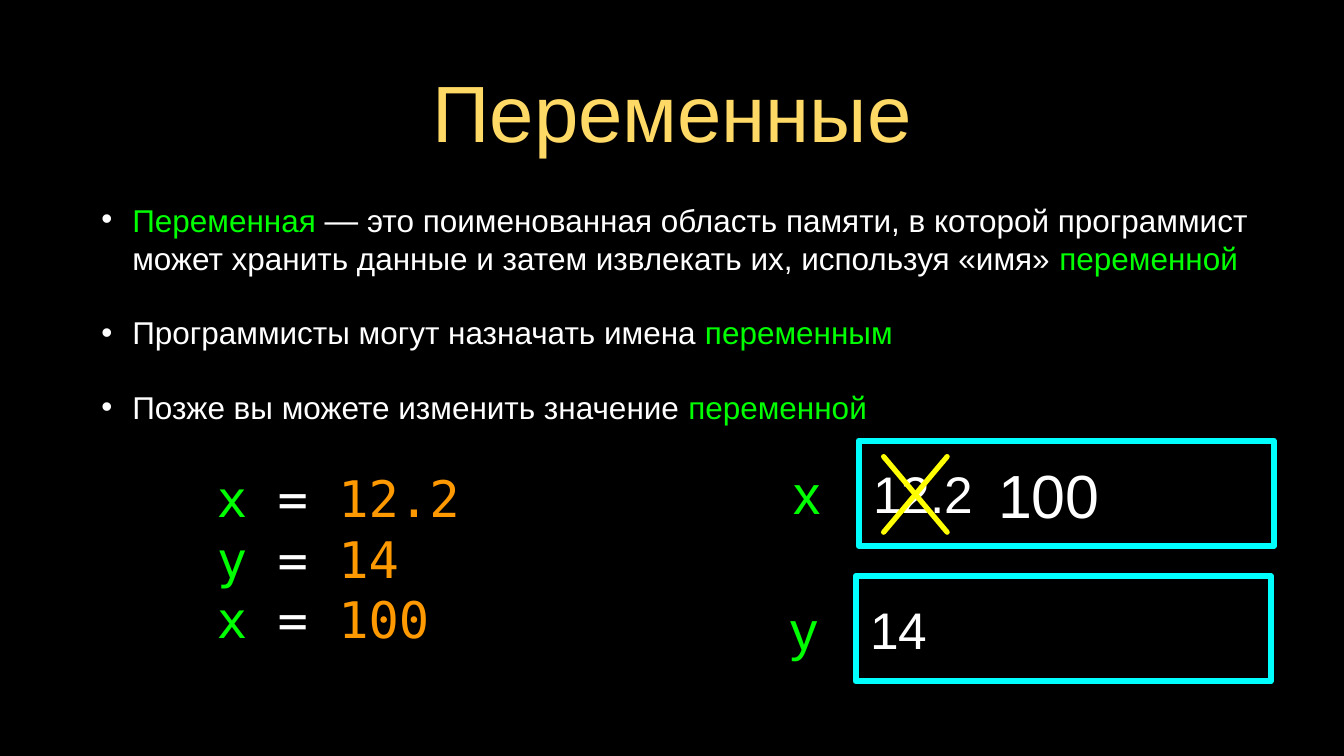
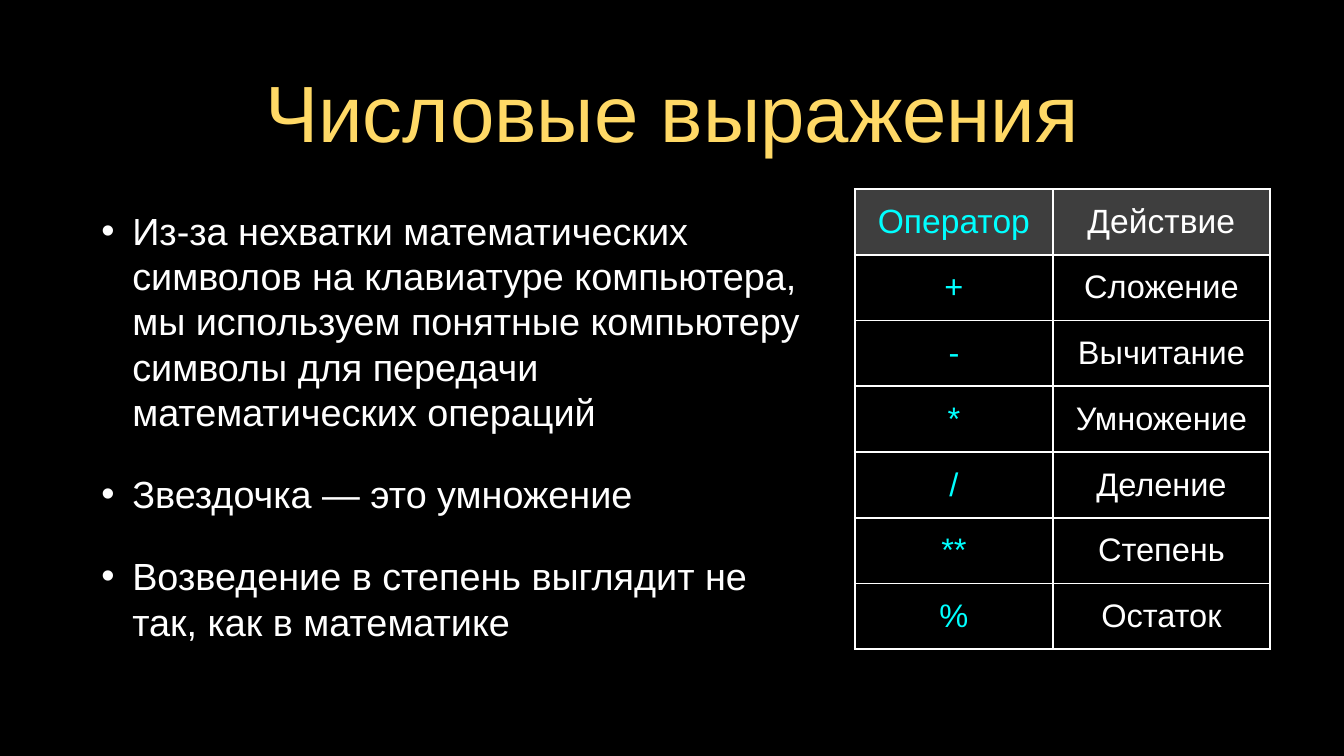
from pptx import Presentation
from pptx.dml.color import RGBColor
from pptx.enum.shapes import MSO_CONNECTOR as Line, MSO_SHAPE as Shape
from pptx.enum.text import MSO_ANCHOR as Anchor, MSO_AUTO_SIZE as Fit, PP_ALIGN as Align
from pptx.oxml.ns import qn
from pptx.util import Inches, Pt
from lxml.etree import SubElement

HEX = {
    "black": "000000", "white": "FFFFFF", "gold": "FFD966", "green": "00FF00",
    "cyan": "00FFFF", "yellow": "FFFF00", "orange": "FF9900", "gray": "7F7F7F",
}
SANS, MONO = "Arial", "DejaVu Sans Mono"
PAD = 0.04


def rgb(name):
    return RGBColor.from_string(HEX[name])


def style(font, size, color, face=SANS):
    font.size, font.name = Pt(size), face
    font.color.rgb = rgb(color)


def write(para, parts, size, face=SANS):
    """Fill a paragraph with (text, colour[, size]) parts."""
    for text, color, *own in parts:
        run = para.add_run()
        run.text = text
        style(run.font, own[0] if own else size, color, face)


def frame(shape, pad=0, left=None):
    """Set the text margins, wrapping and middle anchor of a shape."""
    text = shape.text_frame
    text.word_wrap, text.auto_size = True, Fit.NONE
    text.vertical_anchor = Anchor.MIDDLE
    text.margin_top = text.margin_right = text.margin_bottom = Inches(pad)
    text.margin_left = Inches(pad if left is None else left)
    return text


def add_rect(slide, box):
    rect = slide.shapes.add_shape(Shape.RECTANGLE, *map(Inches, box))
    rect.shadow.inherit = False
    return rect


def add_box(slide, box, pad=0):
    return frame(slide.shapes.add_textbox(*map(Inches, box)), pad)


def add_lines(text, lines, size, face=SANS, bullet=False):
    for i, parts in enumerate(lines):
        para = text.add_paragraph() if i else text.paragraphs[0]
        if bullet:
            add_bullet(para)
            para.space_before = Pt(35 if i else 0)
        write(para, parts, size, face)


def add_bullet(para):
    props = para._p.get_or_add_pPr()
    props.set("marL", str(Inches(0.82)))
    props.set("indent", str(Inches(-0.41)))
    tint = SubElement(props, qn("a:buClr"))
    SubElement(tint, qn("a:srgbClr"), val=HEX["white"])
    SubElement(props, qn("a:buFont"), typeface=SANS)
    SubElement(props, qn("a:buChar"), char="•")


def add_slide(deck, title):
    """Add a slide with the shared title and bottom band."""
    slide = deck.slides.add_slide(deck.slide_layouts[5])
    head = slide.shapes.title
    head.left, head.top, head.width, head.height = map(Inches, (0.89, 0.86, 16, 1.21))
    text = frame(head, PAD)
    text.text = title
    para = text.paragraphs[0]
    para.alignment = Align.CENTER
    style(para.runs[0].font, 76, "gold")
    band = add_rect(slide, (0, 9.14, 17.78, 0.86))
    band.fill.solid()
    band.fill.fore_color.rgb = rgb("black")
    band.line.fill.background()
    return slide


def add_list(slide, box, items, size):
    add_lines(add_box(slide, box, PAD), items, size, bullet=True)


def add_label(slide, box, text, size, color):
    label = add_box(slide, box)
    label.text = text
    para = label.paragraphs[0]
    para.alignment = Align.CENTER
    style(para.runs[0].font, size, color)


def add_cell(slide, left, top, name, value):
    """Draw a memory cell with its variable name on the left."""
    rect = add_rect(slide, (left, top, 5.49, 1.39))
    rect.fill.background()
    rect.line.color.rgb, rect.line.width = rgb("cyan"), Pt(6)
    text = frame(rect, left=0.19)
    text.text = value
    para = text.paragraphs[0]
    para.alignment = Align.LEFT
    style(para.runs[0].font, 49, "white")
    add_label(slide, (left - 0.93, top + 0.22, 0.49, 0.94), name, 52, "green")


def add_cross(slide, left, top, width, height):
    for start, end in ((left + width, left), (left, left + width)):
        stroke = slide.shapes.add_connector(
            Line.STRAIGHT, Inches(start), Inches(top), Inches(end), Inches(top + height))
        stroke.line.color.rgb, stroke.line.width = rgb("yellow"), Pt(5)
        props = stroke._element.spPr
        props.find(qn("a:ln")).set("cap", "rnd")
        SubElement(props, qn("a:effectLst"))


def add_code(slide, box, sets):
    lines = [((f"{name} ", "green"), ("= ", "white"), (value, "orange"))
             for name, value in sets]
    add_lines(add_box(slide, box), lines, 48, MONO)


def add_borders(props):
    for side in "LRTB":
        edge = SubElement(props, qn(f"a:ln{side}"), w=str(Pt(2)))
        fill = SubElement(edge, qn("a:solidFill"))
        SubElement(fill, qn("a:srgbClr"), val=HEX["white"])


def fill_cell(cell, text, size, color, head):
    props = cell._tc.get_or_add_tcPr()
    add_borders(props)
    if head:
        cell.fill.solid()
        cell.fill.fore_color.rgb = rgb("gray")
        tint = props.find(qn("a:solidFill")).find(qn("a:srgbClr"))
        SubElement(tint, qn("a:alpha"), val="49000")
    else:
        cell.fill.background()
    cell.vertical_anchor = Anchor.MIDDLE
    cell.margin_left = cell.margin_right = Inches(PAD)
    cell.margin_top = cell.margin_bottom = Inches(PAD)
    cell.text = text
    para = cell.text_frame.paragraphs[0]
    para.alignment = Align.CENTER
    style(para.runs[0].font, size, color)


def add_grid(slide, left, top, widths, height, rows):
    table = slide.shapes.add_table(
        len(rows), len(widths), Inches(left), Inches(top),
        Inches(sum(widths)), Inches(height * len(rows))).table
    table.first_row = table.horz_banding = False
    for col, width in zip(table.columns, widths):
        col.width = Inches(width)
    for i, row in enumerate(rows):
        table.rows[i].height = Inches(height)
        for j, color in enumerate(("cyan", "white")):
            fill_cell(table.cell(i, j), row[j], 31 if i else 32, color, i == 0)


def build_vars(deck):
    slide = add_slide(deck, "Переменные")
    add_cell(slide, 11.36, 5.83, "x", "12.2")
    add_cell(slide, 11.32, 7.62, "y", "14")
    add_cross(slide, 11.69, 6.04, 0.84, 1)
    add_label(slide, (12.96, 6.02, 1.83, 1.03), "100", 58, "white")
    add_code(slide, (2.87, 6.08, 4.42, 2.61), [("x", "12.2"), ("y", "14"), ("x", "100")])
    add_list(slide, (0.89, 2.49, 16, 3.28), [
        [("Переменная ", "green"), ("—", "white", 32),
         (" это поименованная область памяти, в которой программист может хранить "
          "данные и затем извлекать их, используя «имя» ", "white"),
         ("переменной", "green")],
        [("Программисты могут назначать имена ", "white"), ("переменным", "green")],
        [("Позже вы можете изменить значение ", "white"), ("переменной", "green")],
    ], 30)


def build_maths(deck):
    slide = add_slide(deck, "Числовые выражения")
    items = (
        "Из-за нехватки математических символов на клавиатуре компьютера, мы используем "
        "понятные компьютеру символы для передачи математических операций",
        "Звездочка — это умножение",
        "Возведение в степень выглядит не так, как в математике",
    )
    add_list(slide, (0.89, 2.33, 9.88, 6.6), [[(item, "white")] for item in items], 36)
    add_grid(slide, 11.31, 2.5, (2.62, 2.87), 0.87, [
        ("Оператор", "Действие"), ("+", "Сложение"), ("-", "Вычитание"),
        ("*", "Умножение"), ("/", "Деление"), ("**", "Степень"), ("%", "Остаток"),
    ])


def main():
    deck = Presentation()
    deck.slide_width, deck.slide_height = Inches(17.78), Inches(10)
    back = deck.slide_master.background.fill
    back.solid()
    back.fore_color.rgb = rgb("black")
    build_vars(deck)
    build_maths(deck)
    deck.save("out.pptx")


if __name__ == "__main__":
    main()
